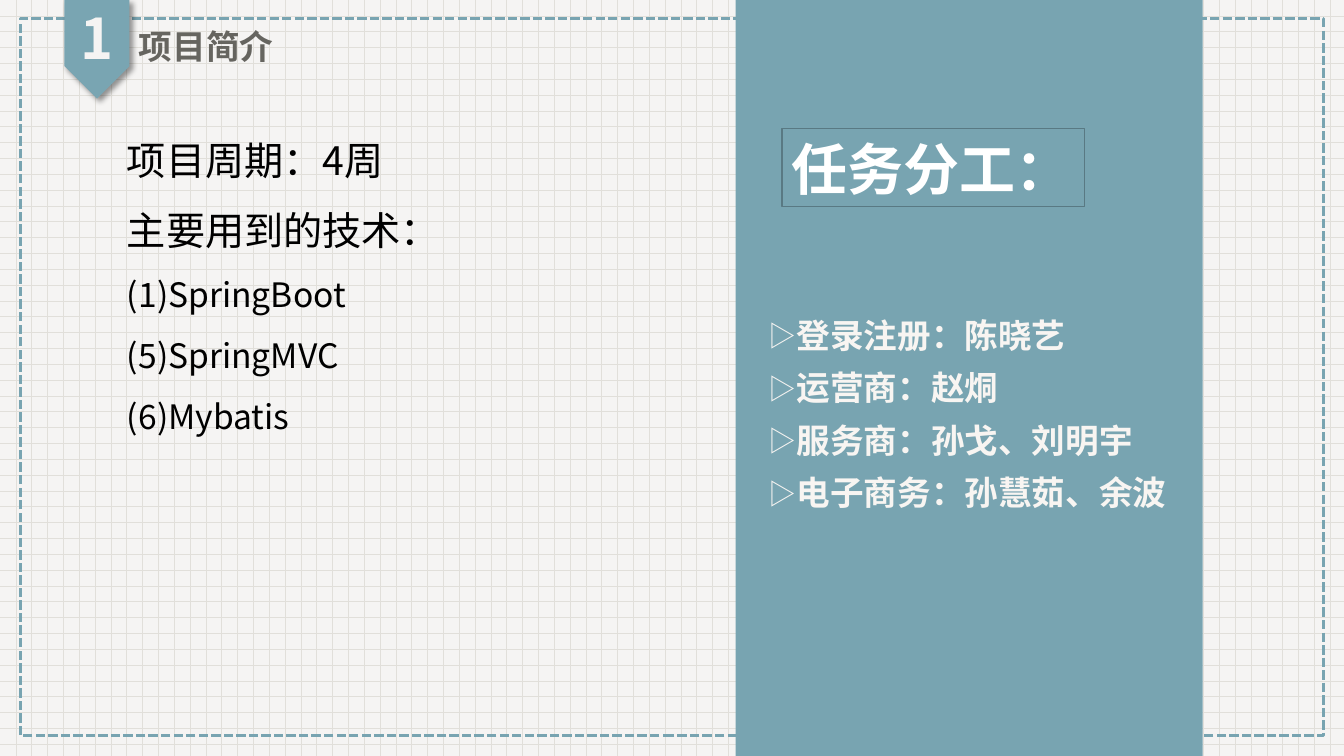
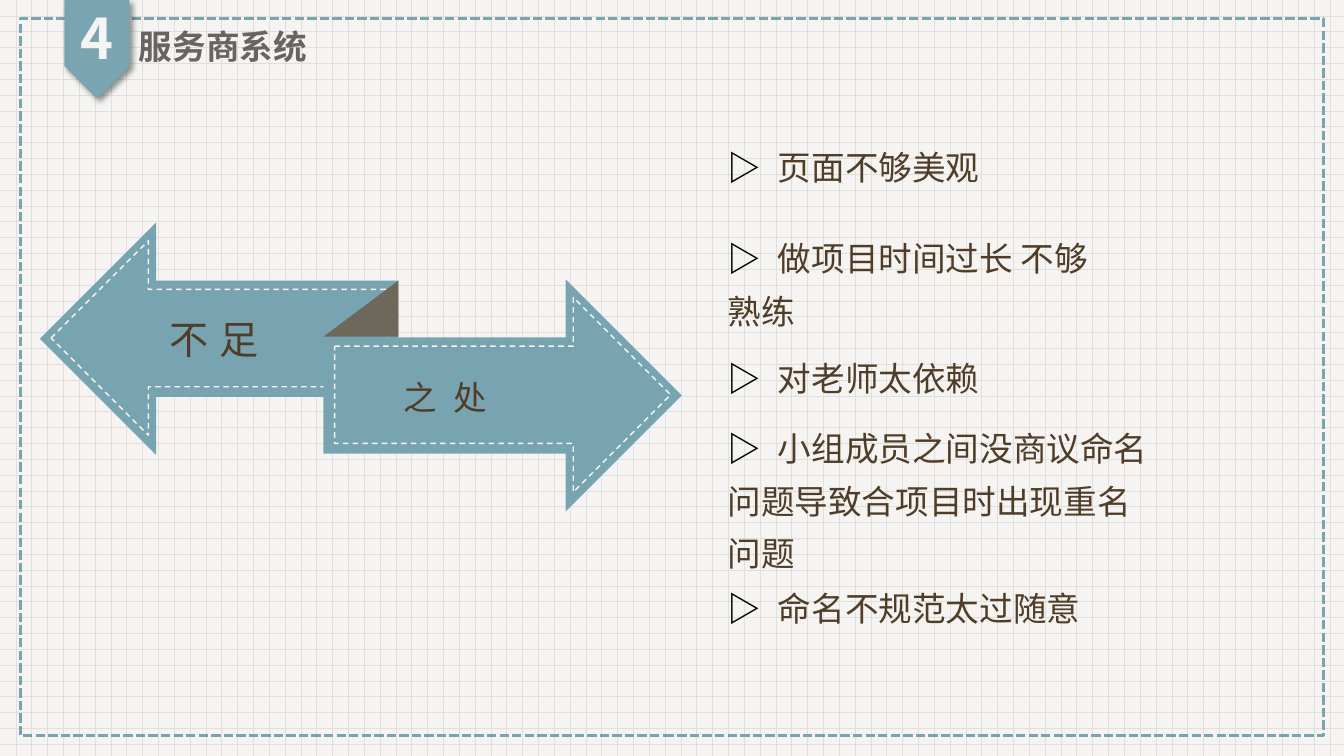
from pptx import Presentation
from pptx.dml.color import RGBColor
from pptx.enum.dml import MSO_LINE as Dash, MSO_PATTERN as Pattern
from pptx.enum.shapes import MSO_SHAPE as Kind
from pptx.enum.text import MSO_ANCHOR as Anchor, MSO_AUTO_SIZE as Fit, PP_ALIGN as Align
from pptx.oxml.ns import qn
from pptx.util import Pt
from lxml.etree import SubElement

FACE = "Noto Sans CJK SC"
TEAL, BADGE, PAPER, GRID = "78A4B1", "79A5B2", "F5F4F3", "E1DFDA"
GREY, BROWN, BLACK, WHITE = "666560", "503D28", "000000", "FFFFFF"
FOLD, EDGE, CREAM = "6E685A", "597983", "F8F5F2"


def color(code):
    return RGBColor.from_string(code)


def node(parent, tag, **attrs):
    return SubElement(parent, qn(tag), attrs)


def place(shape, box):
    shape.left, shape.top, shape.width, shape.height = map(Pt, box)
    return shape


def draw(shapes, kind, box, fill=None, line=None, width=1, dash=None):
    shape = shapes.add_shape(kind, *map(Pt, box))
    shape.shadow.inherit = False
    if fill:
        shape.fill.solid()
        shape.fill.fore_color.rgb = color(fill)
    else:
        shape.fill.background()
    if line:
        shape.line.color.rgb = color(line)
        shape.line.width = Pt(width)
        if dash:
            shape.line.dash_style = dash
    else:
        shape.line.fill.background()
    return shape


def frame(shape, anchor=Anchor.TOP):
    text = shape.text_frame
    text.word_wrap = True
    text.auto_size = Fit.NONE
    text.vertical_anchor = anchor
    return text


def style(par, size, code, bold=False, space=1.3, before=0, align=Align.LEFT):
    par.alignment = align
    par.line_spacing = space
    par.space_before = Pt(before)
    font = par.font
    font.name, font.size, font.bold = FACE, Pt(size), bold
    font.color.rgb = color(code)
    props = par._p.get_or_add_pPr()
    node(props.find(qn("a:defRPr")), "a:ea", typeface=FACE)


def flush(par, tab=None, right=0):
    props = par._p.get_or_add_pPr()
    for key, size in (("marL", 0), ("marR", right), ("indent", 0)):
        props.set(key, str(Pt(size)))
    node(props, "a:buNone")
    if tab:
        node(node(props, "a:tabLst"), "a:tab", pos=str(Pt(tab)), algn="l")


def bullet(par, sign, code, hang, scale):
    props = par._p.get_or_add_pPr()
    props.set("marL", str(Pt(hang)))
    props.set("indent", str(-Pt(hang)))
    node(node(props, "a:buClr"), "a:srgbClr", val=code)
    node(props, "a:buSzPct", val=str(scale * 1000))
    node(props, "a:buFont", typeface=FACE)
    node(props, "a:buChar", char=sign)


def rows(text, count):
    return [text.paragraphs[0]] + [text.add_paragraph() for _ in range(count - 1)]


def label(slide, box, words, size, code, tab=None, anchor=Anchor.TOP, **look):
    text = frame(slide.shapes.add_textbox(*map(Pt, box)), anchor)
    par = text.paragraphs[0]
    flush(par, tab)
    par.add_run().text = words
    style(par, size, code, **look)


def theme(deck, slide):
    master = deck.slide_master
    fill = master.background.fill
    fill.patterned()
    fill.pattern = Pattern.DOTTED_GRID
    fill.fore_color.rgb = color(GRID)
    fill.back_color.rgb = color(PAPER)
    border = draw(slide.shapes, Kind.RECTANGLE, (14.5, 13.5, 931, 512),
                  line=TEAL, width=2.25, dash=Dash.SQUARE_DOT)
    badge = draw(slide.shapes, Kind.PENTAGON, (34, 12, 70.5, 46.5), BADGE)
    badge.rotation = 90
    glow = badge.element.spPr.find(qn("a:effectLst"))
    shade = node(glow, "a:outerShdw", blurRad=str(Pt(4)), dist=str(Pt(3)),
                 dir="2700000", algn="tl", rotWithShape="0")
    node(node(shade, "a:srgbClr", val=BLACK), "a:alpha", val="40000")
    for num, shape in enumerate((border, badge), 101):
        shape.element.nvSpPr.cNvPr.set("id", str(num))
        master.shapes.element.append(shape.element)


def head(slide, num, words):
    label(slide, (46, 0, 46, 59), num, 40, PAPER, anchor=Anchor.MIDDLE,
          bold=True, space=0.9, align=Align.CENTER)
    par = frame(place(slide.shapes.title, (92, 16.5, 331, 37)), Anchor.MIDDLE).paragraphs[0]
    par.add_run().text = words
    style(par, 24, GREY, bold=True, space=0.9)


def facts(slide, box, items):
    text = frame(place(slide.placeholders[1], box))
    for par, (words, size) in zip(rows(text, len(items)), items):
        flush(par)
        par.add_run().text = words
        style(par, size, BLACK, before=6)


def panel(slide, box, title, items):
    left, top, wide, high = box
    band = draw(slide.shapes, Kind.RECTANGLE, box, TEAL)
    slide.shapes.element.insert(2, band.element)
    sign = draw(slide.shapes, Kind.RECTANGLE, (left + 33, top + 92, 216, 55.5), TEAL, EDGE)
    par = frame(sign, Anchor.MIDDLE).paragraphs[0]
    par.add_run().text = title
    style(par, 40, WHITE, bold=True, space=1)
    text = frame(place(slide.placeholders[2], (left + 16.5, top + 212.5, wide - 20, 196)))
    for par, words in zip(rows(text, len(items)), items):
        bullet(par, "▷", CREAM, 19, 83)
        par.add_run().text = words
        style(par, 24, CREAM, bold=True)


def arrows(slide, box, first, second):
    left, top = box
    group = slide.shapes.add_group_shape().shapes
    for kind, x, y in ((Kind.LEFT_ARROW, left, top),
                       (Kind.RIGHT_ARROW, left + 202.5, top + 40.5)):
        draw(group, kind, (x, y, 256, 166), TEAL)
        draw(group, kind, (x + 8, y + 13, 240, 139), line=PAPER, dash=Dash.DASH)
    fold = draw(group, Kind.ISOSCELES_TRIANGLE, (left + 202.5, top + 41.5, 53.5, 40), FOLD)
    fold.adjustments[0] = 1
    label(slide, (left + 85.5, top + 52.5, 163, 51), first, 28, BROWN, tab=59.5)
    label(slide, (left + 252.5, top + 98, 142, 45), second, 24, BROWN, tab=61.5)


def flaws(slide, box, items):
    text = frame(place(slide.placeholders[1], box))
    for par, (words, before, right) in zip(rows(text, len(items)), items):
        flush(par, 34, right)
        mark = par.add_run()
        mark.text = "▷\t"
        mark.font.bold = True
        mark.font.color.rgb = color(BLACK)
        par.add_run().text = words
        style(par, 24, BROWN, before=before)


def main():
    deck = Presentation()
    deck.slide_width, deck.slide_height = Pt(960), Pt(540)

    intro = deck.slides.add_slide(deck.slide_layouts[3])
    theme(deck, intro)
    head(intro, "1", "项目简介")
    facts(intro, (83.5, 84, 349, 364), [
        ("项目周期：4周", 28), ("主要用到的技术：", 28),
        ("(1)SpringBoot", 24), ("(5)SpringMVC", 24), ("(6)Mybatis", 24)])
    panel(intro, (525.5, 0, 333.5, 540), "任务分工：", [
        "登录注册：陈晓艺", "运营商：赵烔", "服务商：孙戈、刘明宇", "电子商务：孙慧茹、余波"])

    review = deck.slides.add_slide(deck.slide_layouts[1])
    head(review, "4", "服务商系统")
    arrows(review, (28.5, 159), "不\t足", "之\t处")
    flaws(review, (512.5, 93, 322.5, 360), [
        ("页面不够美观", 0, 0),
        ("做项目时间过长 不够熟练", 27.5, 48),
        ("对老师太依赖", 10.5, 0),
        ("小组成员之间没商议命名问题导致合项目时出现重名问题", 13, 0),
        ("命名不规范太过随意", 2, 0)])
    deck.save("out.pptx")


if __name__ == "__main__":
    main()
